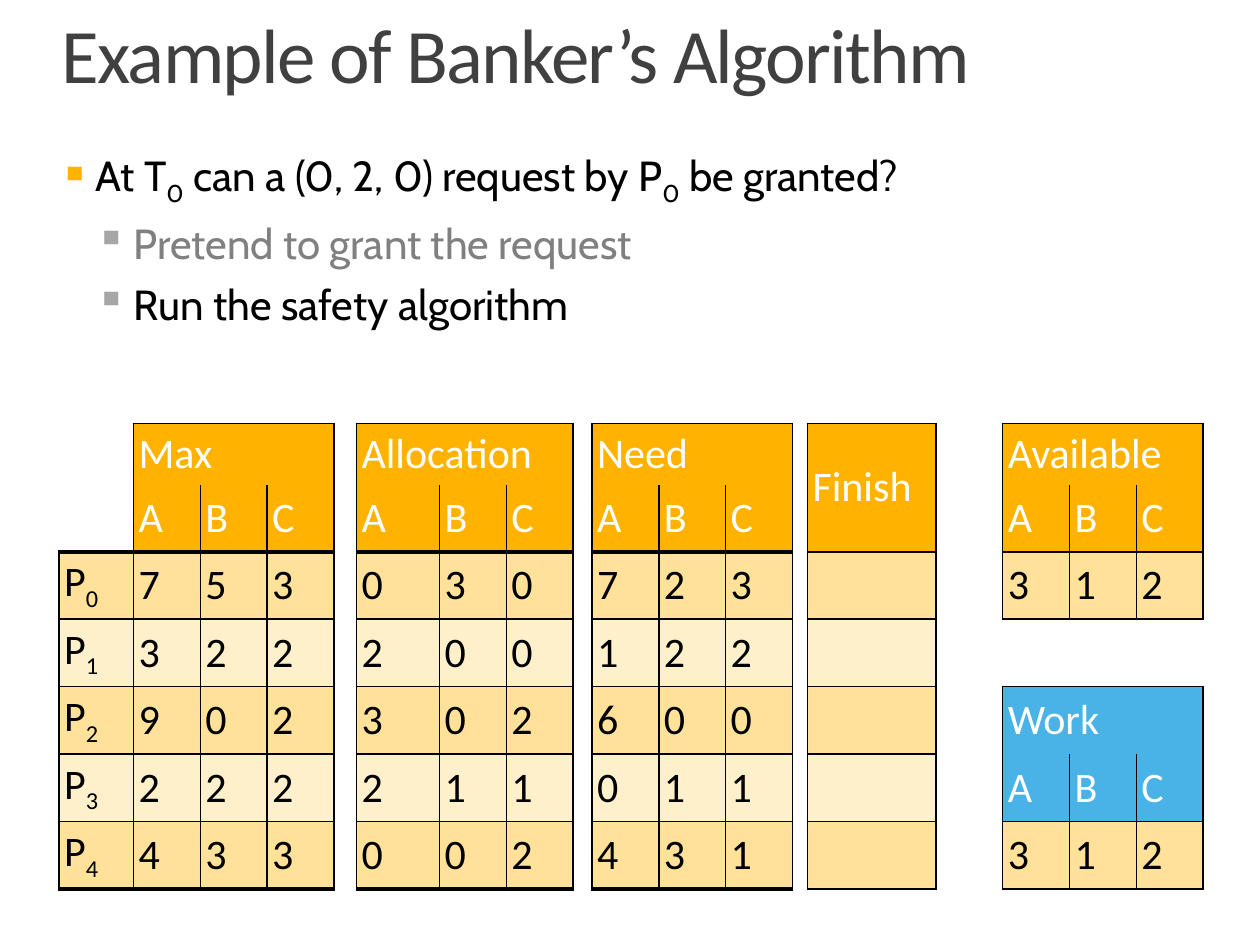
"""Build the slide that walks through the safety check of the Banker's algorithm."""
import dataclasses

import lxml.etree
import pptx
import pptx.dml.color
import pptx.enum.text
import pptx.oxml.ns
import pptx.util
from pptx.util import Inches


@dataclasses.dataclass(frozen=True)
class Theme:
    title_font: str = "Calibri"
    body_font: str = "Cabin"
    title_size: int = 44
    text_size: int = 24
    thin: float = 1
    thick: float = 2.25
    title: str = "404040"
    ink: str = "000000"
    faded: str = "808080"
    white: str = "FFFFFF"
    amber: str = "FFB300"
    blue: str = "49B3E8"
    grey: str = "A6A6A6"
    bands: tuple = ("FFE199", "FFF0CC")


THEME = Theme()
FIRST_PROCESS_ROW = 2
ROW_HEIGHTS = [0.49] + [0.53] * 6
COLUMN_WIDTHS = [0.59, 0.53, 0.53, 0.53, 0.18, 0.66, 0.53, 0.53, 0.15,
                 0.53, 0.53, 0.53, 0.12, 1.02, 0.53, 0.53, 0.53, 0.53]
PROCESSES = ["P|0", "P|1", "P|2", "P|3", "P|4"]
MAXIMUM = ["753", "322", "902", "222", "433"]
ALLOCATION = ["030", "200", "302", "211", "002"]
NEED = ["723", "122", "600", "011", "431"]
FREE = ["312"]


def add_child(parent, tag, **attributes):
    return lxml.etree.SubElement(parent, pptx.oxml.ns.qn(tag), attributes)


def rgb(colour):
    return pptx.dml.color.RGBColor.from_string(colour)


def add_runs(paragraph, text, font, size, colour, spacing=None):
    """Add one run for each part between bars; every second part is a subscript."""
    for index, part in enumerate(text.split("|")):
        run = paragraph.add_run()
        run.text = part
        run.font.name = font
        run.font.size = pptx.util.Pt(size)
        run.font.color.rgb = rgb(colour)
        properties = run._r.get_or_add_rPr()
        if index % 2:
            properties.set("baseline", "-25000")
        if spacing is not None:
            properties.set("spc", str(spacing))


def add_frame(slide, left, top, width, height, inset_top=0):
    box = slide.shapes.add_textbox(Inches(left), Inches(top), Inches(width), Inches(height))
    frame = box.text_frame
    frame.word_wrap = True
    frame.margin_left = frame.margin_right = frame.margin_bottom = 0
    frame.margin_top = Inches(inset_top)
    return frame


def set_indent(paragraph, margin, hanging=0):
    properties = paragraph._p.get_or_add_pPr()
    properties.set("marL", str(Inches(margin)))
    properties.set("indent", str(-Inches(hanging)))
    return properties


def add_title(slide):
    frame = add_frame(slide, 0, 0, 10, 0.78, inset_top=0.04)
    frame.vertical_anchor = pptx.enum.text.MSO_ANCHOR.BOTTOM
    heading = frame.paragraphs[0]
    heading.line_spacing = 0.8
    set_indent(heading, 0.49)
    add_runs(heading, "Example of Banker’s Algorithm",
             THEME.title_font, THEME.title_size, THEME.title, spacing=-100)


def add_bullet(point, text, colour, level):
    point.level = level
    point.space_before = pptx.util.Pt((18, 6)[level])
    properties = set_indent(point, (0.29, 0.59)[level], (0.29, 0.3)[level])
    marker = add_child(properties, "a:buClr")
    add_child(marker, "a:srgbClr", val=(THEME.amber, THEME.grey)[level])
    add_child(properties, "a:buChar", char="▪")
    add_runs(point, text, THEME.body_font, THEME.text_size, colour)


def add_question(slide):
    frame = add_frame(slide, 0.47, 1.19, 9.06, 2.76)
    add_bullet(frame.paragraphs[0],
               "At T|0| can a (0, 2, 0) request by P|0| be granted?", THEME.ink, 0)
    add_bullet(frame.add_paragraph(), "Pretend to grant the request", THEME.faded, 1)
    add_bullet(frame.add_paragraph(), "Run the safety algorithm", THEME.ink, 1)


class ResourceTable:
    """A table whose blocks share one record of ruled edges and fills."""

    def __init__(self, slide):
        shape = slide.shapes.add_table(
            len(ROW_HEIGHTS), len(COLUMN_WIDTHS), Inches(0.47), Inches(3.36),
            Inches(sum(COLUMN_WIDTHS)), Inches(sum(ROW_HEIGHTS)))
        self.table = shape.table
        self.table.first_row = self.table.horz_banding = False
        for column, width in zip(self.table.columns, COLUMN_WIDTHS):
            column.width = Inches(width)
        for row, height in zip(self.table.rows, ROW_HEIGHTS):
            row.height = Inches(height)
        self.across, self.down, self.fills = {}, {}, {}

    def fill_cell(self, row, column, text, fill, colour):
        self.fills[row, column] = fill
        paragraph = self.table.cell(row, column).text_frame.paragraphs[0]
        if text:
            add_runs(paragraph, text, THEME.title_font, THEME.text_size, colour)

    def rule_cells(self, row, column, height=1, width=1):
        for r in range(row, row + height):
            self.down[r, column] = self.down[r, column + width] = THEME.thin
        for c in range(column, column + width):
            self.across[row, c] = self.across[row + height, c] = THEME.thin

    def add_values(self, row, column, lines):
        for r, line in enumerate(lines, row):
            for c, value in enumerate(line, column):
                self.fill_cell(r, c, value, THEME.bands[r % 2], THEME.ink)
                self.rule_cells(r, c)

    def add_heading(self, row, column, text, fill, height, width):
        self.table.cell(row, column).merge(
            self.table.cell(row + height - 1, column + width - 1))
        self.fill_cell(row, column, text, fill, THEME.white)
        self.rule_cells(row, column, height, width)

    def add_resources(self, row, column, title, lines, fill=THEME.amber):
        self.add_heading(row, column, title, fill, 1, 3)
        for c, resource in enumerate("ABC", column):
            self.fill_cell(row + 1, c, resource, fill, THEME.white)
            self.rule_cells(row + 1, c)
            del self.across[row + 1, c]
        self.add_values(row + 2, column, lines)

    def thicken(self, columns):
        for c in columns:
            self.across[FIRST_PROCESS_ROW, c] = THEME.thick
            self.across[len(ROW_HEIGHTS), c] = THEME.thick

    def finish_cell(self, row, column):
        cell = self.table.cell(row, column)
        cell.margin_left = cell.margin_right = Inches(0.04)
        cell.margin_top = cell.margin_bottom = Inches(0.04)
        cell.vertical_anchor = pptx.enum.text.MSO_ANCHOR.MIDDLE
        edges = {"a:lnL": self.down.get((row, column)),
                 "a:lnR": self.down.get((row, column + cell.span_width)),
                 "a:lnT": self.across.get((row, column)),
                 "a:lnB": self.across.get((row + cell.span_height, column))}
        properties = cell._tc.get_or_add_tcPr()
        for tag, weight in edges.items():
            line = add_child(properties, tag, w=str(pptx.util.Pt(weight or 0)))
            if weight:
                add_child(add_child(line, "a:solidFill"), "a:srgbClr", val=THEME.ink)
            else:
                add_child(line, "a:noFill")
        if (row, column) in self.fills:
            cell.fill.solid()
            cell.fill.fore_color.rgb = rgb(self.fills[row, column])
        else:
            cell.fill.background()

    def finish(self):
        for row in range(len(ROW_HEIGHTS)):
            for column in range(len(COLUMN_WIDTHS)):
                self.finish_cell(row, column)


def add_state(slide):
    state = ResourceTable(slide)
    state.add_values(FIRST_PROCESS_ROW, 0, [[process] for process in PROCESSES])
    state.add_resources(0, 1, "Max", MAXIMUM)
    state.add_resources(0, 5, "Allocation", ALLOCATION)
    state.add_resources(0, 9, "Need", NEED)
    state.add_heading(0, 13, "Finish", THEME.amber, 2, 1)
    state.add_values(FIRST_PROCESS_ROW, 13, [[""]] * len(PROCESSES))
    state.add_resources(0, 15, "Available", FREE)
    state.add_resources(4, 15, "Work", FREE, THEME.blue)
    state.thicken([0, 1, 2, 3, 5, 6, 7, 9, 10, 11])
    state.finish()


def main():
    deck = pptx.Presentation()
    deck.slide_width, deck.slide_height = Inches(10), Inches(7.5)
    slide = deck.slides.add_slide(deck.slide_layouts[6])
    add_title(slide)
    add_state(slide)
    add_question(slide)
    deck.save("out.pptx")


if __name__ == "__main__":
    main()
